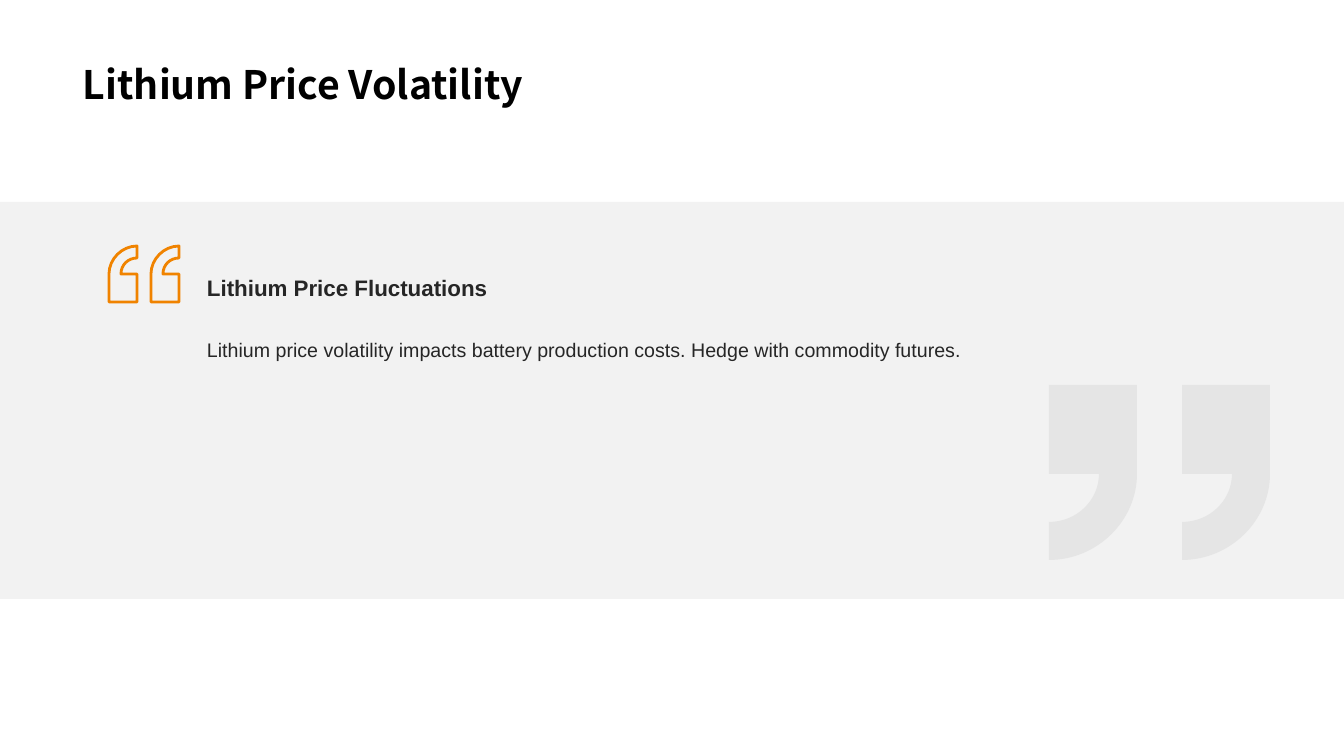
from lxml.etree import SubElement
from pptx import Presentation
from pptx.dml.color import RGBColor
from pptx.enum.shapes import MSO_SHAPE
from pptx.enum.text import MSO_ANCHOR
from pptx.oxml.ns import qn
from pptx.util import Pt

PX = 914400 / 100.8
ARC = 0.55
COLORS = {
    "title": "000000",
    "text": "262626",
    "band": "F2F2F2",
    "opening": "F08300",
    "closing": "D9D9D9",
}


def add_text(text, bounds, insets, anchor, spacing, color_name, font_values):
    frame = slide.shapes.add_textbox(*[round(length * PX) for length in bounds]).text_frame
    inset_x, inset_y = [round(inset * PX) for inset in insets]
    frame_values = {
        "word_wrap": True,
        "vertical_anchor": anchor,
        "margin_left": inset_x,
        "margin_right": inset_x,
        "margin_top": inset_y,
        "margin_bottom": inset_y,
    }
    for name, value in frame_values.items():
        setattr(frame, name, value)
    paragraph = frame.paragraphs[0]
    paragraph.line_spacing = spacing
    run = paragraph.add_run()
    run.text = text
    for name, value in font_values.items():
        setattr(run.font, name, value)
    run.font.color.rgb = RGBColor.from_string(COLORS[color_name])
    SubElement(run.font._element, qn("a:ea"), typeface=font_values["name"])


def add_quote_mark(shapes, center, outer, inner, tail, direction):
    corners = [
        (0, -tail), (0, 0), (inner[0], 0), (0, inner[1]),
        (0, outer[1]), (outer[0], 0), (outer[0], -tail),
    ]
    points = [(center[0] + direction * x, center[1] + direction * y) for x, y in corners]
    builder = shapes.build_freeform(*points[0], scale=PX)
    builder.add_line_segments(points[1:], close=True)
    mark = builder.convert_to_shape()
    mark.shadow.inherit = False

    segments = list(mark._element.iter(qn("a:lnTo")))
    for index, starts_vertical in ((2, True), (4, False)):
        x0, y0 = [int(segments[index - 1][0].get(axis)) for axis in "xy"]
        x1, y1 = [int(segments[index][0].get(axis)) for axis in "xy"]
        if starts_vertical:
            controls = [(x0, y0 + ARC * (y1 - y0)), (x1 + ARC * (x0 - x1), y1)]
        else:
            controls = [(x0 + ARC * (x1 - x0), y0), (x1, y1 + ARC * (y0 - y1))]
        segments[index].tag = qn("a:cubicBezTo")
        for position, (x, y) in enumerate(controls):
            control = SubElement(segments[index], qn("a:pt"), x=str(round(x)), y=str(round(y)))
            segments[index].insert(position, control)
    return mark


presentation = Presentation()
presentation.slide_width = round(1344 * PX)
presentation.slide_height = round(756 * PX)
slide = presentation.slides.add_slide(presentation.slide_layouts[6])

add_text(
    "Lithium Price Volatility", (73, 0, 1197, 113), (10, 5), MSO_ANCHOR.BOTTOM, 0.9, "title",
    {"name": "Noto Sans CJK SC", "size": Pt(28), "bold": True},
)

band = slide.shapes.add_shape(
    MSO_SHAPE.RECTANGLE, 0, round(202 * PX), presentation.slide_width, round(397 * PX)
)
band.shadow.inherit = False
band.fill.solid()
band.fill.fore_color.rgb = RGBColor.from_string(COLORS["band"])
band.line.fill.background()

add_text(
    "Lithium price volatility impacts battery production costs. Hedge with commodity futures.",
    (207, 326, 809, 103), (0, 0), MSO_ANCHOR.TOP, 1.5, "text",
    {"name": "Arial", "size": Pt(14), "bold": False},
)

opening_quote = slide.shapes.add_group_shape()
for center_x in (179, 137):
    mark = add_quote_mark(opening_quote.shapes, (center_x, 274), (28, 28), (16, 16), 28, -1)
    mark.fill.background()
    mark.line.color.rgb = RGBColor.from_string(COLORS["opening"])
    mark.line.width = Pt(2)
    SubElement(mark.line._get_or_add_ln(), qn("a:headEnd"), type="oval")

closing_quote = slide.shapes.add_group_shape()
for center_x in (1049, 1182):
    mark = add_quote_mark(closing_quote.shapes, (center_x, 474), (88, 86), (50, 48), 89, 1)
    mark.fill.solid()
    mark.fill.fore_color.rgb = RGBColor.from_string(COLORS["closing"])
    color = mark._element.spPr.find(qn("a:solidFill"))[0]
    SubElement(color, qn("a:alpha"), val="50000")
    mark.line.fill.background()

add_text(
    "Lithium Price Fluctuations", (207, 274, 809, 27), (0, 0), MSO_ANCHOR.TOP, 1.0, "text",
    {"name": "Arial", "size": Pt(16), "bold": True},
)

presentation.save("out.pptx")
